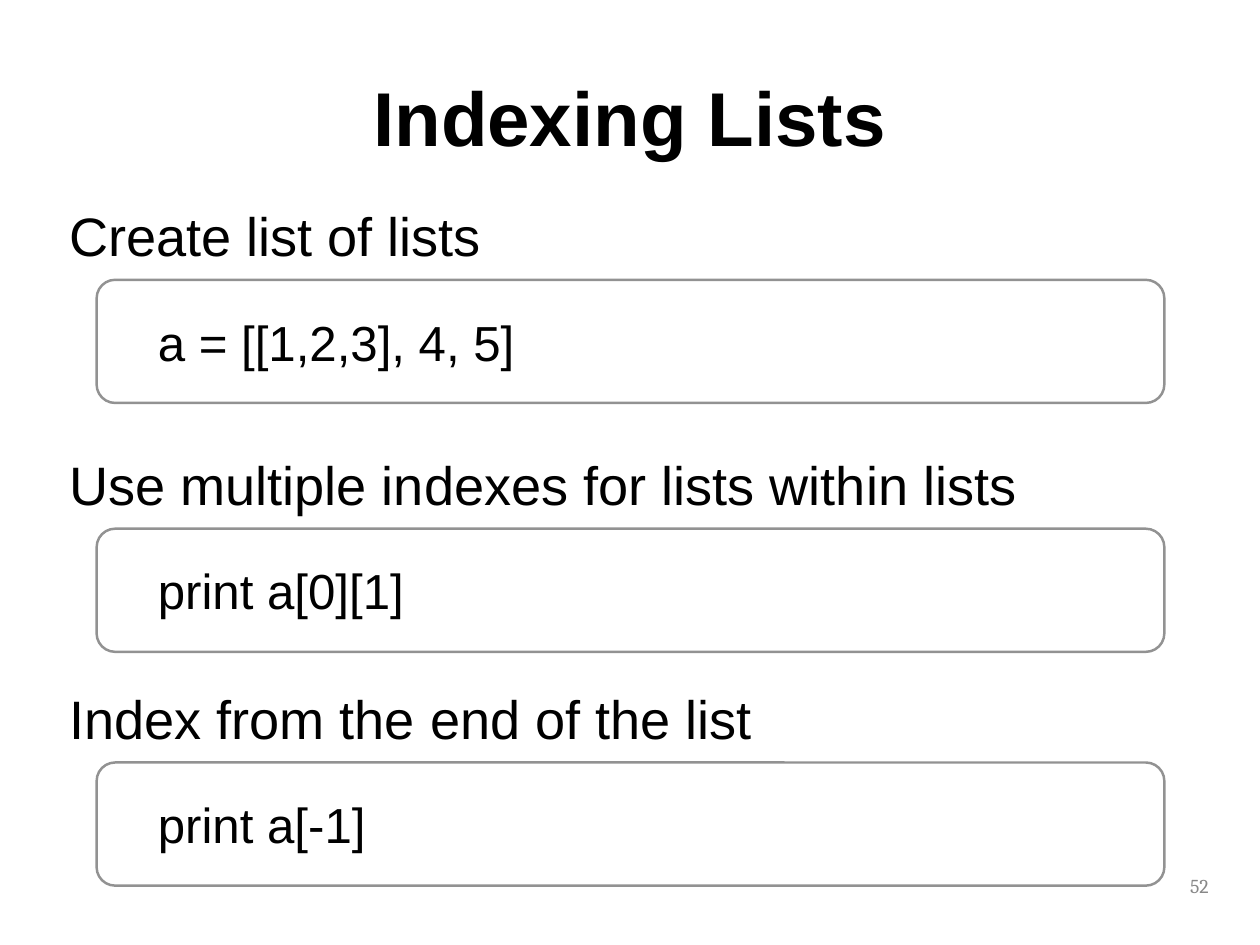
from pptx import Presentation
from pptx import util as u
from pptx.dml.color import RGBColor
from pptx.enum import shapes, text

WIDE, HIGH = 14.22, 10.67
BLACK = RGBColor(0x00, 0x00, 0x00)
GREY = RGBColor(0x88, 0x88, 0x88)
EDGE = RGBColor(0x92, 0x92, 0x92)
LEFT, SPAN = 5, 90
HEAD, STEP = 8.72, 8.81

PARTS = [
    (20.8, "Create list of lists", "a = [[1,2,3], 4, 5]"),
    (47.14, "Use multiple indexes for lists within lists", "print a[0][1]"),
    (71.88, "Index from the end of the list", "print a[-1]"),
]


def area(left, top, width, height):
    return (u.Inches(WIDE * left / 100), u.Inches(HIGH * top / 100),
            u.Inches(WIDE * width / 100), u.Inches(HIGH * height / 100))


def place(shape, box):
    shape.left, shape.top, shape.width, shape.height = box


def write(shape, words, size, font="Arial", color=BLACK, bold=False,
          align=text.PP_ALIGN.LEFT, anchor=text.MSO_ANCHOR.MIDDLE,
          before=0, indent=0):
    frame = shape.text_frame
    frame.word_wrap = True
    frame.auto_size = text.MSO_AUTO_SIZE.NONE
    frame.vertical_anchor = anchor
    frame.margin_left = frame.margin_right = u.Inches(0.07)
    frame.margin_top = frame.margin_bottom = u.Inches(0.07)
    para = frame.paragraphs[0]
    para.alignment = align
    para.space_before = u.Pt(before)
    props = para._p.get_or_add_pPr()
    props.set("marL", "0")
    props.set("indent", str(u.Inches(indent)))
    props.get_or_change_to_buNone() if hasattr(props, "get_or_change_to_buNone") \
        else props.append(props.makeelement(
            "{http://schemas.openxmlformats.org/drawingml/2006/main}buNone", {}))
    run = para.add_run()
    run.text = words
    run.font.size = u.Pt(size)
    run.font.name = font
    run.font.bold = bold
    run.font.color.rgb = color


def label(shape, words):
    write(shape, words, 44, anchor=text.MSO_ANCHOR.TOP, before=7)


def code(slide, top, words):
    shape = slide.shapes.add_shape(
        shapes.MSO_SHAPE.ROUNDED_RECTANGLE, *area(7.67, top, 84.74, 13.03))
    shape.adjustments[0] = 0.15
    shape.shadow.inherit = False
    shape.fill.background()
    shape.line.color.rgb = EDGE
    shape.line.width = u.Pt(2)
    write(shape, words, 40, indent=0.56)


def main():
    deck = Presentation()
    deck.slide_width, deck.slide_height = u.Inches(WIDE), u.Inches(HIGH)
    slide = deck.slides.add_slide(deck.slide_layouts[1])
    title, body = slide.placeholders
    place(title, area(LEFT, 1.31, SPAN, 22.02))
    write(title, "Indexing Lists", 62, bold=True, align=text.PP_ALIGN.CENTER)

    for row, (top, words, line) in enumerate(PARTS):
        box = area(LEFT, top, SPAN, HEAD)
        if row == 0:
            place(body, box)
            label(body, words)
        else:
            label(slide.shapes.add_textbox(*box), words)
        code(slide, top + STEP, line)

    page = slide.shapes.add_textbox(*area(73.07, 91.85, 23.35, 3.84))
    write(page, "52", 16, font="Cambria", color=GREY, align=text.PP_ALIGN.RIGHT)
    deck.save("out.pptx")


if __name__ == "__main__":
    main()
